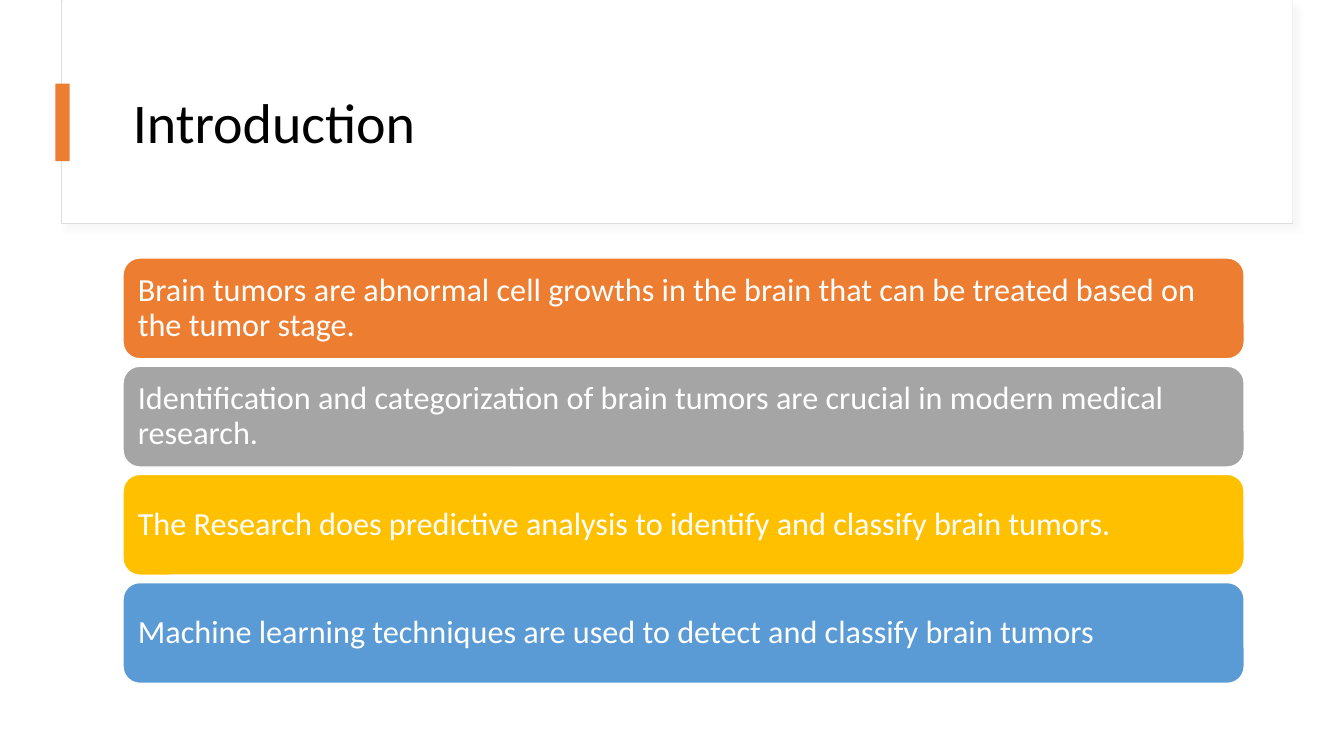
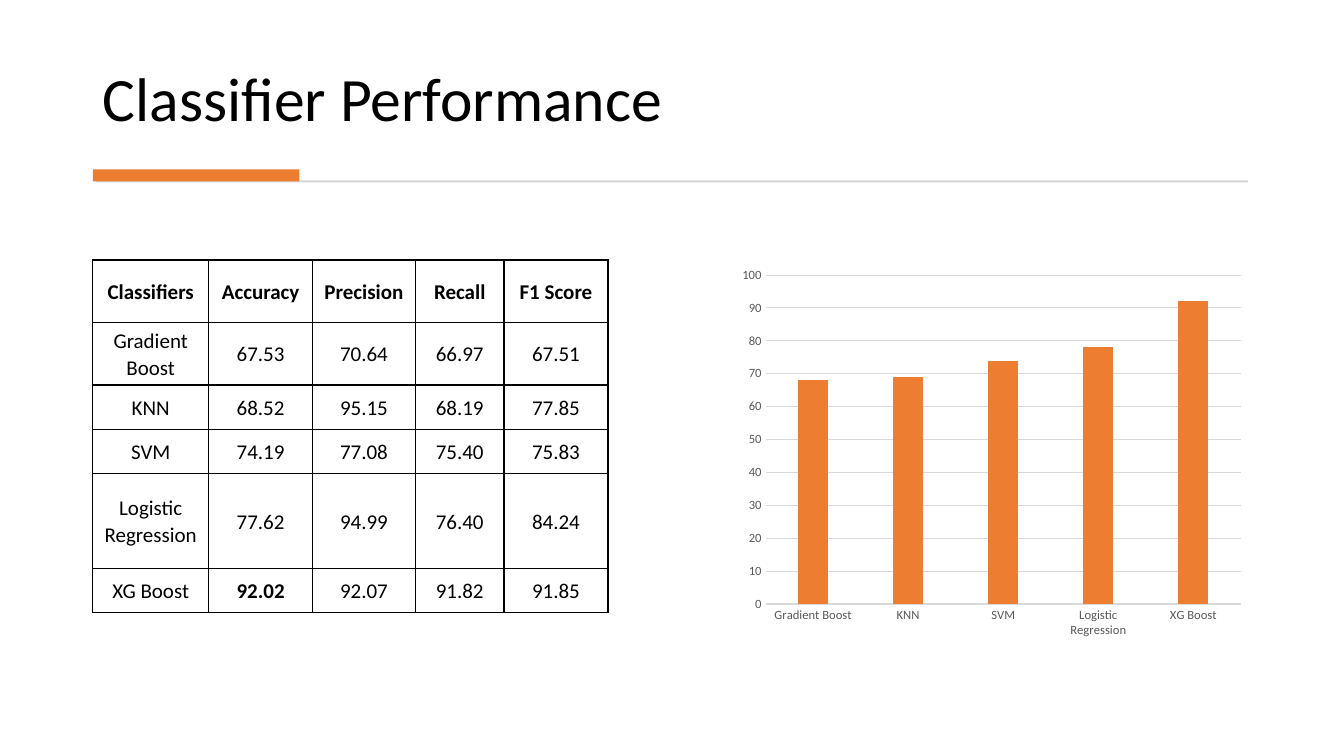
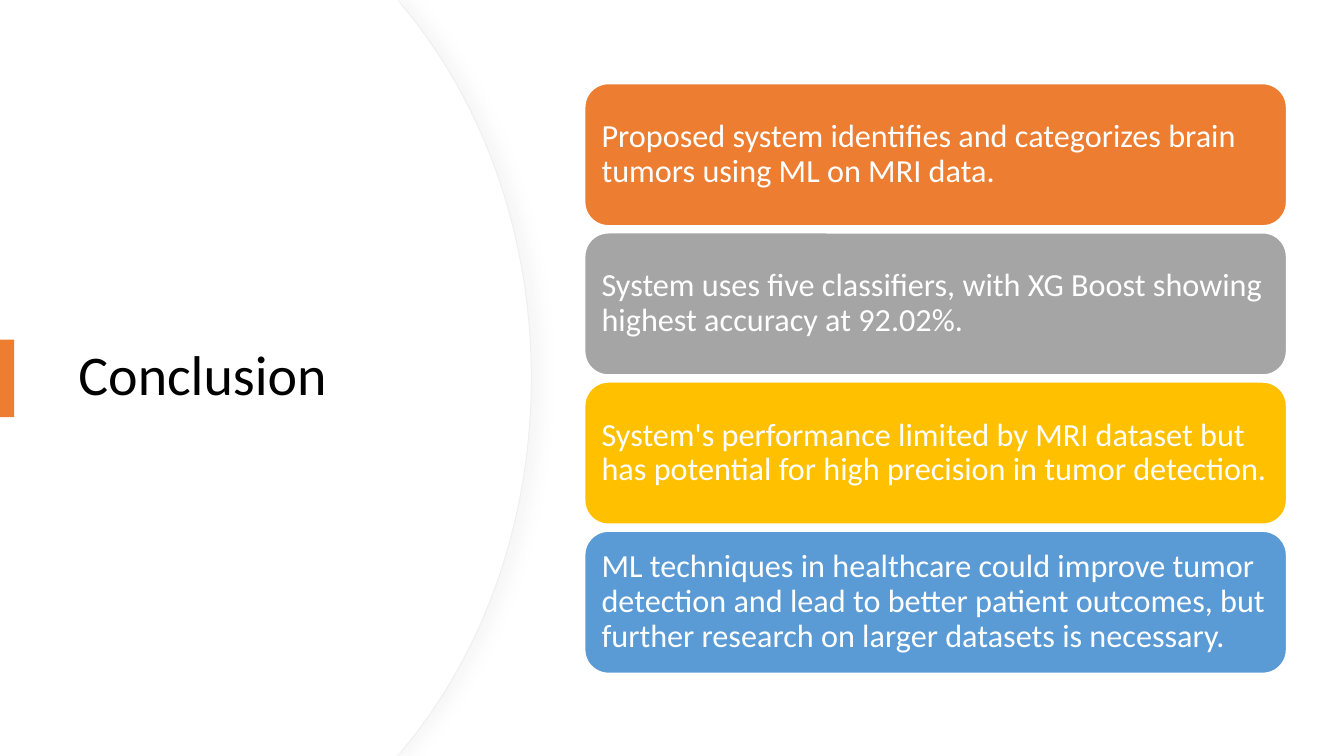
from lxml import etree
from pptx import Presentation
from pptx.chart.data import CategoryChartData
from pptx.dml.color import RGBColor
from pptx.enum.chart import XL_CHART_TYPE, XL_TICK_MARK
from pptx.enum.shapes import MSO_SHAPE
from pptx.enum.text import MSO_ANCHOR, PP_ALIGN
from pptx.oxml import parse_xml
from pptx.oxml.ns import nsdecls, qn
from pptx.util import Pt

PX = 9144  # 100 px to the inch
W, H = 1333, 750
FONT = "Calibri"
BLACK = RGBColor(0x00, 0x00, 0x00)
WHITE = RGBColor(0xFF, 0xFF, 0xFF)
ORANGE = RGBColor(0xED, 0x7D, 0x31)
GRAY = RGBColor(0xA5, 0xA5, 0xA5)
GOLD = RGBColor(0xFF, 0xC0, 0x00)
BLUE = RGBColor(0x5B, 0x9B, 0xD5)
RULE = RGBColor(0xD5, 0xD5, 0xD5)
GRID = RGBColor(0xD9, 0xD9, 0xD9)
AXIS_TEXT = RGBColor(0x59, 0x59, 0x59)
PANEL_EDGE = RGBColor(0xDE, 0xDE, 0xDE)
CURVE_EDGE = RGBColor(0xEF, 0xEF, 0xEF)
CARD_COLORS = [ORANGE, GRAY, GOLD, BLUE]
RECT, ROUNDED = MSO_SHAPE.RECTANGLE, MSO_SHAPE.ROUNDED_RECTANGLE
MIDDLE, BOTTOM = MSO_ANCHOR.MIDDLE, MSO_ANCHOR.BOTTOM
LEFT, CENTER = PP_ALIGN.LEFT, PP_ALIGN.CENTER
NO_TICK = XL_TICK_MARK.NONE
COLUMNS = XL_CHART_TYPE.COLUMN_CLUSTERED


def style(sp, fill, edge=None, width=0.75, shadow=None):
    """Set fill, outline and shadow; shadow is (blur pt, distance pt, degrees)."""
    sp.shadow.inherit = False
    sp.fill.solid()
    sp.fill.fore_color.rgb = fill
    if edge is None:
        sp.line.fill.background()
    else:
        sp.line.color.rgb = edge
        sp.line.width = Pt(width)
    if shadow:
        blur, dist, angle = shadow
        sp._element.spPr.find(qn("a:effectLst")).append(parse_xml(
            f'<a:outerShdw {nsdecls("a")} blurRad="{Pt(blur)}" dist="{Pt(dist)}" '
            f'dir="{angle * 60000}" algn="tl" rotWithShape="0"><a:srgbClr val="{GRID}">'
            '<a:alpha val="20000"/></a:srgbClr></a:outerShdw>'))


def write(tf, text, size, color, align=LEFT, spacing=0.9, bold=False):
    p = tf.paragraphs[0]
    p.alignment, p.line_spacing = align, spacing
    r = p.add_run()
    r.text = text
    for name, value in {"name": FONT, "size": Pt(size), "bold": bold}.items():
        setattr(r.font, name, value)
    r.font.color.rgb = color


prs = Presentation()
prs.slide_width, prs.slide_height = W * PX, H * PX
intro, performance, conclusion = [
    prs.slides.add_slide(prs.slide_layouts[6]) for _ in range(3)]

# Panels behind the titles
for box, look in [
    ((61, 1, 1221, 221), {"edge": PANEL_EDGE, "shadow": (4, 5, 45)}),
    ((62, 0, 1220, 220), {}),
]:
    style(intro.shapes.add_shape(RECT, *(v * PX for v in box)), WHITE, **look)

# Two mirrored Bezier curves: start, two handles, middle, two handles, end
UPPER = [(401, 8), (479, 102), (527, 232), (527, 375)]
CURVE = UPPER + [(x, H - y) for x, y in reversed(UPPER[:-1])]
for inset, look in [(0, {"edge": CURVE_EDGE, "shadow": (9, 7, 0)}), (1, {})]:
    outline = [(394, 0)] + [(x - inset, y) for x, y in CURVE] + [(394, H), (0, H)]
    builder = conclusion.shapes.build_freeform(0, 0)
    builder.add_line_segments([(x * PX, y * PX) for x, y in outline], close=True)
    sp = builder.convert_to_shape()
    lines = list(sp._element.iter(qn("a:lnTo")))
    for first in (2, 5):
        bezier = etree.Element(qn("a:cubicBezTo"))
        lines[first].addprevious(bezier)
        for line in lines[first:first + 3]:
            bezier.append(line[0])
            line.getparent().remove(line)
    style(sp, WHITE, **look)

# Titles
for s, text, size, anchor, box in [
    (intro, "Introduction", 40, MIDDLE, (122, 60, 1112, 129)),
    (performance, "Classifier Performance", 44, BOTTOM, (92, 28, 1149, 111)),
    (conclusion, "Conclusion", 40, MIDDLE, (68, 127, 394, 495)),
]:
    tf = s.shapes.add_textbox(*(v * PX for v in box)).text_frame
    tf.word_wrap, tf.vertical_anchor = True, anchor
    write(tf, text, size, BLACK)

# Accent bars and the title rule
for s, color, box in [
    (intro, ORANGE, (55, 83, 14, 77)),
    (performance, RULE, (95, 179, 1143, 2)),
    (performance, ORANGE, (92, 168, 205, 12)),
    (conclusion, ORANGE, (0, 337, 14, 77)),
]:
    style(s.shapes.add_shape(RECT, *(v * PX for v in box)), color)

# Text cards, spread evenly from the first top to the last
for s, (x, first_top, last_top, w, h), texts in [
    (intro, (122, 256, 578, 1112, 100), [
        "Brain tumors are abnormal cell growths in the brain that can be treated "
        "based on the tumor stage.",
        "Identification and categorization of brain tumors are crucial in modern "
        "medical research.",
        "The Research does predictive analysis to identify and classify brain tumors.",
        "Machine learning techniques are used to detect and classify brain tumors",
    ]),
    (conclusion, (580, 83, 527, 696, 141), [
        "Proposed system identifies and categorizes brain tumors using ML on MRI data.",
        "System uses five classifiers, with XG Boost showing highest accuracy at 92.02%.",
        "System's performance limited by MRI dataset but has potential for high "
        "precision in tumor detection.",
        "ML techniques in healthcare could improve tumor detection and lead to better "
        "patient outcomes, but further research on larger datasets is necessary.",
    ]),
]:
    pitch = (last_top - first_top) * PX // (len(texts) - 1)
    for i, (text, color) in enumerate(zip(texts, CARD_COLORS)):
        sp = s.shapes.add_shape(
            ROUNDED, x * PX, first_top * PX + i * pitch, w * PX, h * PX)
        style(sp, color, WHITE, 1)
        tf = sp.text_frame
        tf.word_wrap, tf.vertical_anchor = True, MIDDLE
        for side in ("left", "top", "right", "bottom"):
            setattr(tf, f"margin_{side}", 10 * PX)
        write(tf, text, 23, WHITE)

# Classifier table
ROWS = [
    ["Classifiers", "Accuracy", "Precision", "Recall", "F1 Score"],
    ["Gradient Boost", "67.53", "70.64", "66.97", "67.51"],
    ["KNN", "68.52", "95.15", "68.19", "77.85"],
    ["SVM", "74.19", "77.08", "75.40", "75.83"],
    ["Logistic Regression", "77.62", "94.99", "76.40", "84.24"],
    ["XG Boost", "92.02", "92.07", "91.82", "91.85"],
]
COL_WIDTHS = [115, 103, 102, 88, 103]
ROW_HEIGHTS = [62, 62, 44, 44, 94, 44]
BEST = "92.02"
table = performance.shapes.add_table(
    len(ROWS), len(COL_WIDTHS), 92 * PX, 258 * PX,
    sum(COL_WIDTHS) * PX, sum(ROW_HEIGHTS) * PX).table
table.first_row = table.horz_banding = False
for col, width in zip(table.columns, COL_WIDTHS):
    col.width = width * PX
for row, height, values in zip(table.rows, ROW_HEIGHTS, ROWS):
    row.height = height * PX
    for cell, text in zip(row.cells, values):
        cell.vertical_anchor = MIDDLE
        cell.margin_left = cell.margin_right = 7 * PX
        cell.margin_top = cell.margin_bottom = 0
        tcPr = cell._tc.get_or_add_tcPr()
        for side in "LRTB":
            ln = etree.SubElement(tcPr, qn(f"a:ln{side}"), w=str(Pt(1)))
            fill = etree.SubElement(ln, qn("a:solidFill"))
            etree.SubElement(fill, qn("a:srgbClr"), val=str(BLACK))
        cell.fill.background()
        write(cell.text_frame, text, 15, BLACK, CENTER, 1.07,
              bold=values is ROWS[0] or text == BEST)

# Accuracy chart
data = CategoryChartData()
data.categories = [values[0] for values in ROWS[1:]]
data.add_series("Series 1", [68, 69, 74, 78, 92])
chart = performance.shapes.add_chart(
    COLUMNS, 726 * PX, 258 * PX, 515 * PX, 382 * PX, data).chart
chart.has_legend = chart.has_title = False
chart.font.name, chart.font.size = FONT, Pt(10)
plot = chart.plots[0]
plot.vary_by_categories = False
plot.gap_width, plot.overlap = 219, -27
bars = plot.series[0].format.fill
bars.solid()
bars.fore_color.rgb = ORANGE
category_axis, value_axis = chart.category_axis, chart.value_axis
for axis in (category_axis, value_axis):
    axis.major_tick_mark = axis.minor_tick_mark = NO_TICK
    font = axis.tick_labels.font
    font.name, font.size = FONT, Pt(9)
    font.color.rgb = AXIS_TEXT
value_axis.minimum_scale, value_axis.maximum_scale, value_axis.major_unit = 0, 100, 10
value_axis.format.line.fill.background()
for line in (category_axis.format.line, value_axis.major_gridlines.format.line):
    line.color.rgb = GRID
    line.width = Pt(0.75)

prs.save("out.pptx")
